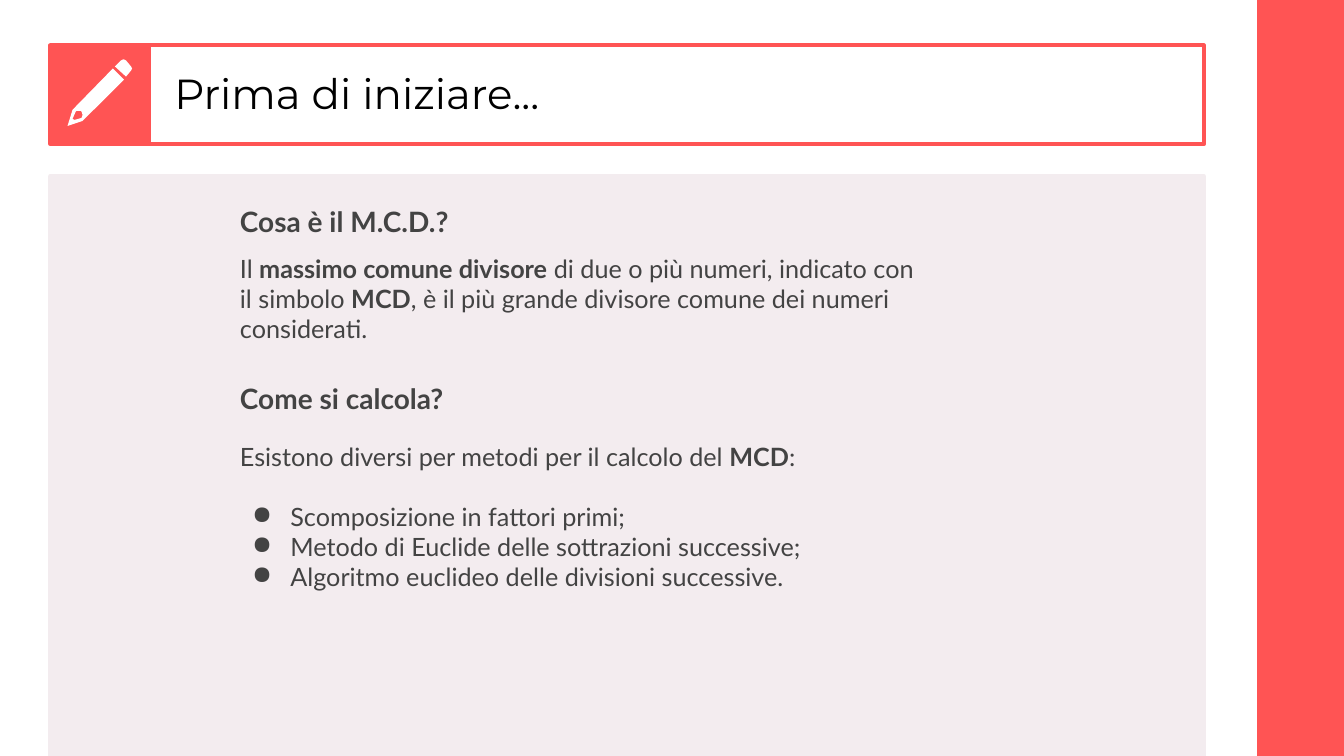
import pptx
import pptx.dml.color
import pptx.enum.shapes
import pptx.enum.text
import pptx.util
from lxml import etree
from pptx.util import Inches

CORAL, BLUSH, WHITE, BLACK, GREY = "FF5454", "F3ECEF", "FFFFFF", "000000", "434343"
TEXT_LEFT, TEXT_WIDTH = 2.25, 7.01

# Outlines in hundredths of an inch
PENCIL_BODY = [
    [(112, 68), (72, 109), (67, 125), (82, 120), (123, 79)],
    [(78, 110), (80, 110), (81, 111), (82, 114), (81, 117), (74, 119),
     (72, 118), (75, 111), (76, 110)],
]
PENCIL_ERASER = [
    [(122, 59), (120, 60), (114, 66), (125, 76), (130, 70), (131, 68),
     (130, 66), (125, 60), (123, 59)],
]


def colour(value):
    return pptx.dml.color.RGBColor.from_string(value)


def paint(shape, fill=None, line=None):
    shape.shadow.inherit = False
    if fill:
        shape.fill.solid()
        shape.fill.fore_color.rgb = colour(fill)
    else:
        shape.fill.background()
    if line:
        shape.line.color.rgb = colour(line)
        shape.line.width = pptx.util.Pt(3)
    else:
        shape.line.fill.background()


def add_panel(slide, left, top, width, height, line, fill=None):
    panel = slide.shapes.add_shape(
        pptx.enum.shapes.MSO_SHAPE.RECTANGLE,
        Inches(left), Inches(top), Inches(width), Inches(height))
    paint(panel, fill, line)


def add_outline(slide, contours):
    builder = None
    for start, *rest in contours:
        if builder is None:
            builder = slide.shapes.build_freeform(*start, scale=Inches(0.01))
        else:
            builder.move_to(*start)
        builder.add_line_segments(rest, close=True)
    paint(builder.convert_to_shape(), WHITE)


def format_frame(frame, anchor):
    settings = {
        "word_wrap": True,
        "auto_size": pptx.enum.text.MSO_AUTO_SIZE.NONE,
        "vertical_anchor": anchor,
    }
    for side in ("left", "top", "right", "bottom"):
        settings["margin_" + side] = Inches(0.13)
    for name, value in settings.items():
        setattr(frame, name, value)


def add_run(paragraph, text, size, font, ink, bold=False):
    run = paragraph.add_run()
    run.text = text
    settings = {"size": pptx.util.Pt(size), "name": font, "bold": bold}
    for name, value in settings.items():
        setattr(run.font, name, value)
    run.font.color.rgb = colour(ink)


def add_bullet(paragraph):
    properties = paragraph._p.get_or_add_pPr()
    properties.set("marL", str(Inches(0.5)))
    properties.set("indent", str(Inches(-0.38)))
    bullet = etree.SubElement(properties, pptx.oxml.ns.qn("a:buChar"))
    bullet.set("char", "●")


def add_text(slide, top, height, paragraphs, size=18, bullets_from=None):
    """Each paragraph is a list of texts that alternate regular and bold."""
    box = slide.shapes.add_textbox(
        Inches(TEXT_LEFT), Inches(top), Inches(TEXT_WIDTH), Inches(height))
    frame = box.text_frame
    format_frame(frame, pptx.enum.text.MSO_ANCHOR.TOP)
    for index, texts in enumerate(paragraphs):
        paragraph = frame.add_paragraph() if index else frame.paragraphs[0]
        if bullets_from is not None and index >= bullets_from:
            if index == bullets_from:
                paragraph.space_before = pptx.util.Pt(21)
            add_bullet(paragraph)
        for position, text in enumerate(texts):
            if text:
                add_run(paragraph, text, size, "Lato", GREY, position % 2 == 1)


def add_heading(slide, top, text):
    add_text(slide, top, 0.66, [["", text]], size=20)


def set_title(slide, text):
    title = slide.shapes.title
    place = {"left": 1.6, "top": 0.45, "width": 10.2, "height": 0.94}
    for name, value in place.items():
        setattr(title, name, Inches(value))
    format_frame(title.text_frame, pptx.enum.text.MSO_ANCHOR.MIDDLE)
    paragraph = title.text_frame.paragraphs[0]
    paragraph.alignment = pptx.enum.text.PP_ALIGN.LEFT
    add_run(paragraph, text, 30, "Montserrat", BLACK)


def main():
    deck = pptx.Presentation()
    deck.slide_width, deck.slide_height = Inches(13.33), Inches(7.5)
    slide = deck.slides.add_slide(deck.slide_layouts[5])

    add_panel(slide, 0.5, 0.45, 0.98, 0.98, CORAL, CORAL)
    add_panel(slide, 0.5, 1.75, 11.44, 5.75, BLUSH, BLUSH)
    add_panel(slide, 12.49, 0, 0.84, 7.5, CORAL, CORAL)
    add_panel(slide, 1.48, 0.45, 10.46, 0.98, CORAL)
    set_title(slide, "Prima di iniziare...")

    add_heading(slide, 1.9, "Cosa è il M.C.D.?")
    add_text(slide, 2.38, 1.01, [[
        "Il ", "massimo comune divisore",
        " di due o più numeri, indicato con il simbolo ", "MCD",
        ", è il più grande divisore comune dei numeri considerati."]])

    add_heading(slide, 3.66, "Come si calcola?")
    add_text(slide, 4.25, 1.7, [
        ["Esistono diversi per metodi per il calcolo del ", "MCD", ":"],
        ["Scomposizione in fattori primi;"],
        ["Metodo di Euclide delle sottrazioni successive;"],
        ["Algoritmo euclideo delle divisioni successive."],
    ], bullets_from=1)

    for contours in (PENCIL_BODY, PENCIL_ERASER):
        add_outline(slide, contours)

    deck.save("out.pptx")


if __name__ == "__main__":
    main()
